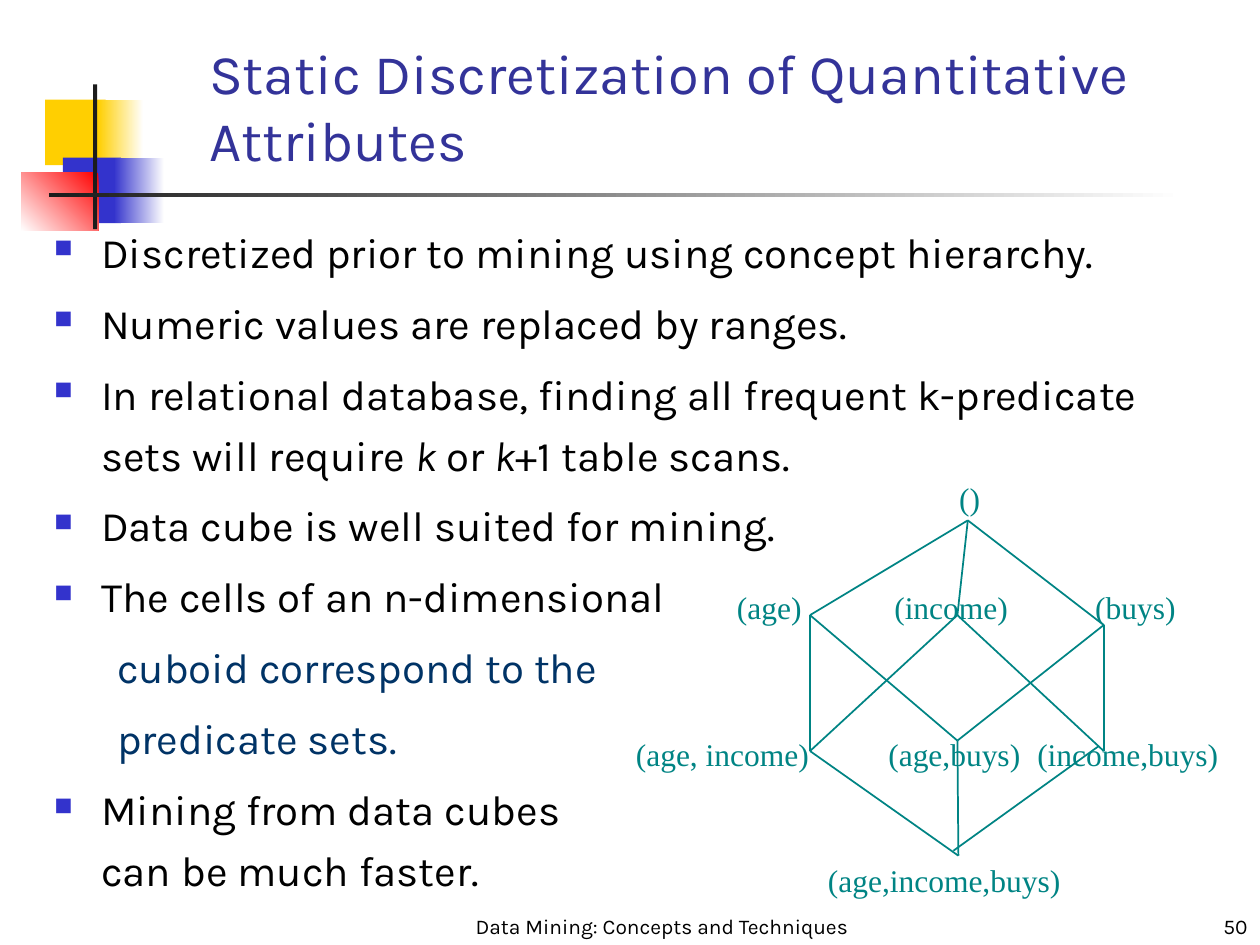
from pptx import Presentation
from pptx.dml.color import RGBColor
from pptx.enum.shapes import MSO_CONNECTOR, MSO_SHAPE
from pptx.enum.text import MSO_ANCHOR, MSO_AUTO_SIZE, PP_ALIGN
from pptx.oxml.ns import qn
from pptx.util import Cm, Pt
from lxml.etree import SubElement

THEME = {
    "font": "Karla", "serif": "Times New Roman",
    "title": "333399", "text": "000000", "sub": "003366", "mark": "3333CC",
    "teal": "008484", "gold": "FFCF01", "red": "FF0000", "dark": "1C1C1C",
    "white": "FFFFFF",
    "head": 32, "body": 24, "label": 18, "foot": 12,
}

TITLE = "Static Discretization of Quantitative Attributes"
# Each point: is bulleted, then (text, italic) runs
POINTS = [
    (True, [("Discretized prior to mining using concept hierarchy.", False)]),
    (True, [("Numeric values are replaced by ranges.", False)]),
    (True, [("In relational database, finding all frequent k-predicate "
             "sets will require ", False),
            ("k", True), (" or ", False), ("k", True),
            ("+1 table scans.", False)]),
    (True, [("Data cube is well suited for mining.", False)]),
    (True, [("The cells of an n-dimensional", False)]),
    (False, [("cuboid correspond to the", False)]),
    (False, [("predicate sets.", False)]),
    (True, [("Mining from data cubes\ncan be much faster.", False)]),
]
FOOT = [
    ("Data Mining: Concepts and Techniques", (9.32, 17.98, 8.05, 1.07), PP_ALIGN.CENTER),
    ("50", (20.12, 17.98, 5.28, 1.07), PP_ALIGN.RIGHT),
]

# Corner blocks: left, top, width, height, colour(s), gradient angle
BLOCKS = [
    (0.91, 2.01, 1.22, 1.32, ["gold"], 0),
    (1.98, 2.01, 0.91, 1.32, ["white", "gold"], 180),
    (1.27, 3.18, 1.17, 1.32, ["mark"], 0),
    (2.29, 3.18, 1.02, 1.32, ["white", "mark"], 180),
    (0.43, 3.48, 1.55, 1.17, ["red", "white"], 225),
    (1.88, 1.7, 0.08, 2.92, ["dark"], 0),
    (0.99, 3.89, 22.86, 0.08, ["white", "dark"], 180),
]

# Lattice: node point, then label text, its right edge, top and width
NODES = {
    "top": ((19.51, 10.49), "()", 19.76, 9.65, 0.8),
    "age": ((16.33, 12.4), "(age)", 16.16, 11.86, 1.6),
    "inc": ((19.3, 12.4), "(income)", 20.32, 11.86, 2.6),
    "buy": ((22.25, 12.6), "(buys)", 23.7, 11.86, 1.9),
    "age-inc": ((16.33, 15.14), "(age, income)", 16.31, 14.81, 3.8),
    "age-buy": ((19.3, 14.93), "(age,buys)", 20.57, 14.81, 3),
    "inc-buy": ((22.25, 15.14), "(income,buys)", 24.56, 14.81, 4),
    "all": ((19.32, 17.25), "(age,income,buys)", 21.38, 17.35, 5),
}
EDGES = [
    ("top", "age"), ("top", "inc"), ("top", "buy"),
    ("age", "age-inc"), ("age", "age-buy"),
    ("inc", "age-inc"), ("inc", "inc-buy"),
    ("buy", "age-buy"), ("buy", "inc-buy"),
    ("age-inc", "all"), ("age-buy", "all"), ("inc-buy", "all"),
]
SHIFT = {("inc-buy", "all"): (-0.1, -0.1)}


def tint(name):
    return RGBColor.from_string(THEME[name])


def add_run(para, text, size, color, face="font", slant=False):
    run = para.add_run()
    run.text = text
    font = run.font
    font.name, font.size = THEME[face], Pt(THEME[size])
    font.color.rgb, font.italic = tint(color), slant


def add_box(slide, place, inset=True, anchor=MSO_ANCHOR.TOP):
    frame = slide.shapes.add_textbox(*map(Cm, place)).text_frame
    frame.word_wrap, frame.vertical_anchor = True, anchor
    if not inset:
        frame.margin_left = frame.margin_right = 0
        frame.margin_top = frame.margin_bottom = 0
    return frame


def add_block(slide, place, names, angle):
    shape = slide.shapes.add_shape(MSO_SHAPE.RECTANGLE, *map(Cm, place))
    shape.shadow.inherit = False
    shape.line.fill.background()
    if len(names) == 1:
        shape.fill.solid()
        shape.fill.fore_color.rgb = tint(names[0])
        return
    shape.fill.gradient()
    shape.fill.gradient_angle = angle
    for stop, name in zip(shape.fill.gradient_stops, names):
        stop.color.rgb = tint(name)


def set_mark(para, mark):
    left, first = (0.95, -0.95) if mark else (2.06, -0.79)
    props = para._p.get_or_add_pPr()
    props.set("marL", str(Cm(left)))
    props.set("indent", str(Cm(first)))
    if not mark:
        SubElement(props, qn("a:buNone"))
        return
    color = SubElement(props, qn("a:buClr"))
    SubElement(color, qn("a:srgbClr"), val=THEME["mark"])
    SubElement(props, qn("a:buSzPct"), val="60000")
    SubElement(props, qn("a:buChar"), char="■")


def add_edge(slide, pair):
    (ax, ay), (bx, by) = (NODES[name][0] for name in pair)
    dx, dy = SHIFT.get(pair, (0, 0))
    ends = (ax + dx, ay + dy, bx + dx, by + dy)
    edge = slide.shapes.add_connector(MSO_CONNECTOR.STRAIGHT, *map(Cm, ends))
    edge.line.color.rgb, edge.line.width = tint("teal"), Pt(1)
    SubElement(edge._element.spPr, qn("a:effectLst"))


def main():
    deck = Presentation()
    deck.slide_width, deck.slide_height = Cm(25.4), Cm(19.05)
    slide = deck.slides.add_slide(deck.slide_layouts[5])

    # Corner blocks and rule
    for *place, names, angle in BLOCKS:
        add_block(slide, place, names, angle)

    # Title
    title = slide.shapes.title
    title.left, title.top, title.width, title.height = map(Cm, (3.96, 1.07, 19.1, 2.54))
    frame = title.text_frame
    frame.word_wrap, frame.auto_size = True, MSO_AUTO_SIZE.NONE
    frame.vertical_anchor = MSO_ANCHOR.BOTTOM
    frame.paragraphs[0].alignment = PP_ALIGN.LEFT
    add_run(frame.paragraphs[0], TITLE, "head", "title")

    # Points
    frame = add_box(slide, (0.84, 4.24, 23.5, 14.17))
    for num, (mark, runs) in enumerate(POINTS):
        para = frame.add_paragraph() if num else frame.paragraphs[0]
        set_mark(para, mark)
        para.level = 0 if mark else 1
        para.line_spacing = 1.2
        para.space_before = Pt(6 if num else 0)
        for text, slant in runs:
            for row, part in enumerate(text.split("\n")):
                if row:
                    para.add_line_break()
                add_run(para, part, "body", "text" if mark else "sub", slant=slant)

    # Lattice
    for pair in EDGES:
        add_edge(slide, pair)
    for _, text, right, top, width in NODES.values():
        frame = add_box(slide, (right - width, top, width, 0.76), inset=False)
        frame.paragraphs[0].alignment = PP_ALIGN.RIGHT
        add_run(frame.paragraphs[0], text, "label", "teal", "serif")

    # Footer
    for text, place, align in FOOT:
        frame = add_box(slide, place, anchor=MSO_ANCHOR.BOTTOM)
        frame.paragraphs[0].alignment = align
        add_run(frame.paragraphs[0], text, "foot", "text")

    deck.save("out.pptx")


if __name__ == "__main__":
    main()
